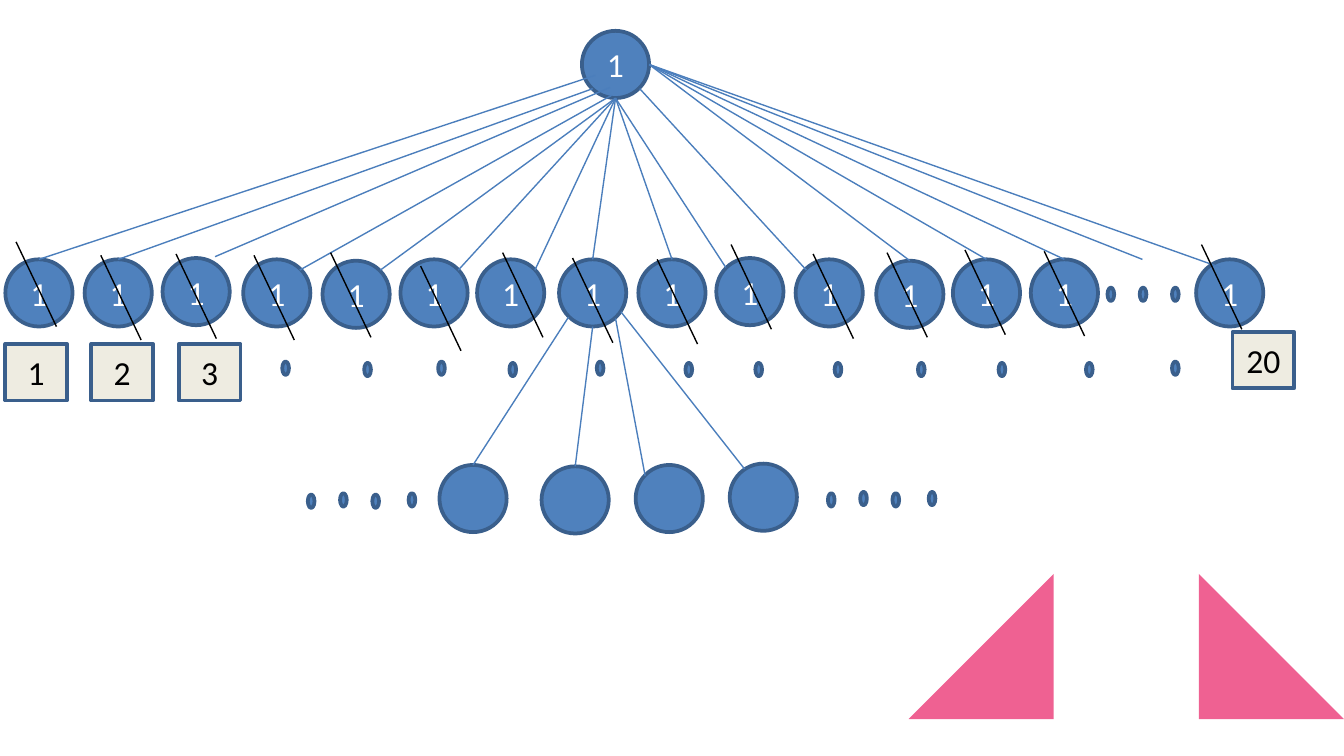
from pptx import Presentation
from pptx.dml.color import RGBColor
from pptx.enum.shapes import MSO_CONNECTOR as Connector, MSO_SHAPE as Shape
from pptx.enum.text import MSO_ANCHOR as Anchor, PP_ALIGN as Align
from pptx.oxml.ns import qn
from pptx.util import Inches, Pt
from lxml import etree

BLUE = RGBColor(0x4F, 0x81, 0xBD)
OUTLINE = RGBColor(0x3A, 0x5F, 0x8C)
LINK = RGBColor(0x4B, 0x7E, 0xBC)
CREAM = RGBColor(0xEE, 0xEC, 0xE1)
PINK = RGBColor(0xEF, 0x61, 0x92)
BLACK = RGBColor(0, 0, 0)
WHITE = RGBColor(255, 255, 255)

# Content: the tree, level by level, in inches
NODE = 0.5
ROOT = (4.33, 0.23)
CHILD_TOP = 1.93
CHILD_LEFTS = [0.04, 0.63, 1.21, 1.81, 2.4, 2.98, 3.55, 4.16,
               4.75, 5.33, 5.92, 6.52, 7.09, 7.67, 8.9]
CHILD_SHIFTS = {1.21: -0.01, 2.4: 0.01, 5.33: -0.01, 6.52: 0.01}
GRANDCHILDREN = [(3.27, 3.46), (4.03, 3.47), (4.73, 3.46), (5.43, 3.45)]

ROOT_BOTTOM, ROOT_RIGHT = (4.58, 0.73), (4.83, 0.48)
ROOT_LINKS = [
    ((4.43, 0.56), [(0.29, 1.93)]),
    ((4.41, 0.66), [(0.88, 1.93)]),
    ((4.54, 0.65), [(1.6, 1.91)]),
    ((4.55, 0.71), [(2.23, 2.01)]),
    (ROOT_BOTTOM, [(2.83, 2.01), (3.41, 2.01), (3.98, 2.01),
                   (4.41, 1.93), (5, 1.93), (5.4, 1.99)]),
    ((4.76, 0.66), [(6, 2.01)]),
    (ROOT_RIGHT, [(6.77, 1.94), (7.34, 1.93), (7.92, 1.93),
                  (8.5, 1.93), (9.08, 1.99)]),
]
CHILD_LINKS = [
    ((4.23, 2.36), [(3.52, 3.46)]),
    ((4.41, 2.43), [(4.28, 3.47)]),
    ((4.58, 2.37), [(4.8, 3.54)]),
    ((4.62, 2.32), [(5.54, 3.49)]),
]

# Upper end of the stroke that crosses out each child
STRIKE_RUN, STRIKE_DROP = 0.3, 0.63
STRIKES = [
    (0.12, 1.8), (0.75, 1.9), (1.31, 1.89), (1.89, 1.9), (2.46, 1.88),
    (3.13, 1.98), (3.74, 1.88), (4.26, 1.92), (4.89, 1.93), (5.44, 1.82),
    (6.05, 1.89), (6.6, 1.88), (7.18, 1.86), (7.77, 1.87), (8.94, 1.82),
]

LABELS = [("1", 0.04, 2.56), ("2", 0.68, 2.56), ("3", 1.33, 2.56), ("20", 9.17, 2.47)]

# Ellipsis dots: top of the row, then the left edges
DOT_ROWS = [
    (2.69, [2.1, 3.26, 4.44, 8.72]),
    (2.7, [2.71, 3.79, 5.1, 5.62, 6.21, 6.83, 7.43, 8.08]),
    (3.66, [6.4, 6.91]),
    (3.67, [2.53, 3.04, 6.16, 6.64]),
    (3.68, [2.29, 2.77]),
    (2.14, [8.24, 8.48, 8.72]),
]

TRIANGLES = [
    [(8.92, 4.27), (8.92, 5.35), (10, 5.35)],
    [(7.84, 4.27), (6.76, 5.35), (7.84, 5.35)],
]

# Widescreen slide
prs = Presentation()
prs.slide_width = Inches(10)
prs.slide_height = Inches(10 * 9 / 16)
slide = prs.slides.add_slide(prs.slide_layouts[6])
shapes = slide.shapes


def add_box(kind, left, top, width, height, fill=BLUE, text="", color=WHITE):
    box = shapes.add_shape(kind, *map(Inches, (left, top, width, height)))
    box.shadow.inherit = False
    box.fill.solid()
    box.fill.fore_color.rgb = fill
    box.line.color.rgb = OUTLINE
    box.line.width = Pt(2)
    if text:
        frame = box.text_frame
        frame.margin_left = frame.margin_right = 0
        frame.vertical_anchor = Anchor.MIDDLE
        paragraph = frame.paragraphs[0]
        paragraph.alignment = Align.CENTER
        run = paragraph.add_run()
        run.text = text
        run.font.name, run.font.size = "Calibri", Pt(18)
        run.font.color.rgb = color


def add_node(left, top, text=""):
    add_box(Shape.OVAL, left, top, NODE, NODE, text=text)


def add_line(start, end, color):
    line = shapes.add_connector(Connector.STRAIGHT, *map(Inches, (*start, *end)))
    line.line.color.rgb = color
    line.line.width = Pt(0.75)
    etree.SubElement(line._element.spPr, qn("a:effectLst"))


# Corner triangles
for first, *others in TRIANGLES:
    builder = shapes.build_freeform(Inches(first[0]), Inches(first[1]))
    builder.add_line_segments([(Inches(x), Inches(y)) for x, y in others], close=True)
    triangle = builder.convert_to_shape()
    triangle.shadow.inherit = False
    triangle.fill.solid()
    triangle.fill.fore_color.rgb = PINK
    triangle.line.fill.background()

# Nodes
children = [(left, CHILD_TOP + CHILD_SHIFTS.get(left, 0)) for left in CHILD_LEFTS]
for left, top in [ROOT, *children]:
    add_node(left, top, "1")
for left, top in GRANDCHILDREN:
    add_node(left, top)

# Links between levels
for start, ends in ROOT_LINKS + CHILD_LINKS:
    for end in ends:
        add_line(start, end, LINK)

# Numbered labels and ellipsis dots
for text, left, top in LABELS:
    add_box(Shape.RECTANGLE, left, top, 0.46, 0.42, CREAM, text, BLACK)
for top, lefts in DOT_ROWS:
    for left in lefts:
        add_box(Shape.OVAL, left, top, 0.05, 0.1)

# Strokes crossing out the children
for x, y in STRIKES:
    add_line((x, y), (x + STRIKE_RUN, y + STRIKE_DROP), BLACK)

prs.save("out.pptx")
